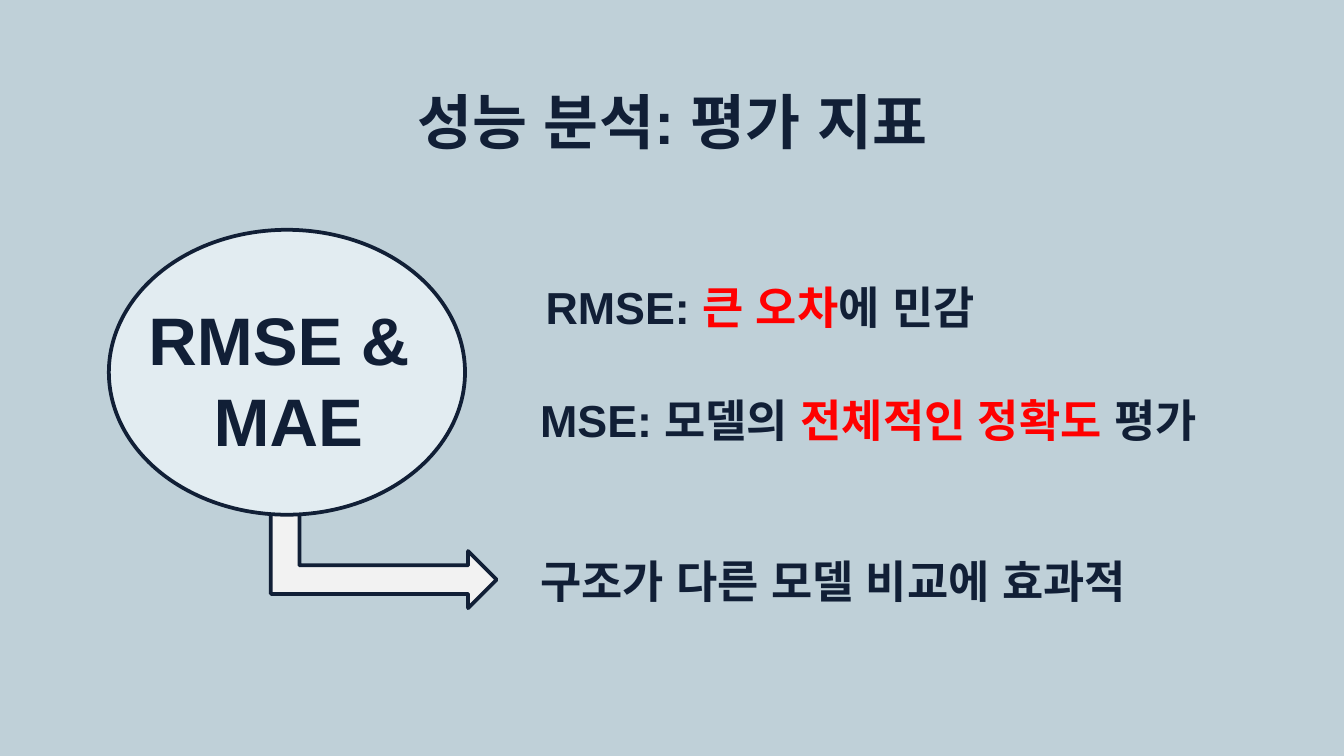
import lxml.etree
import pptx
import pptx.dml.color
import pptx.enum.shapes
import pptx.enum.text
import pptx.oxml.ns
import pptx.util

Inches = pptx.util.Inches
Align = pptx.enum.text.PP_ALIGN
Shape = pptx.enum.shapes.MSO_SHAPE

NAVY = "111F36"
RED = "FF0000"
FONT = "Arial"


def color(value):
    return pptx.dml.color.RGBColor.from_string(value)


def add_span(para, text, size=24, fill=NAVY):
    span = para.add_run()
    span.text = text
    span.font.name = FONT
    span.font.size = pptx.util.Pt(size)
    span.font.bold = True
    span.font.color.rgb = color(fill)
    properties = span._r.get_or_add_rPr()
    for tag in ("a:ea", "a:cs"):
        lxml.etree.SubElement(properties, pptx.oxml.ns.qn(tag), typeface=FONT)


def add_text(page, lines, left, top, width, size=24, align=Align.LEFT):
    box = page.shapes.add_textbox(Inches(left), Inches(top), Inches(width), Inches(0.63))
    frame = box.text_frame
    frame.word_wrap = True
    frame.vertical_anchor = pptx.enum.text.MSO_ANCHOR.TOP
    frame.margin_left = frame.margin_right = Inches(0.1)
    frame.margin_top = frame.margin_bottom = Inches(0.1)
    for index, line in enumerate(lines):
        para = frame.add_paragraph() if index else frame.paragraphs[0]
        para.alignment = align
        for text, fill in line:
            add_span(para, text, size=size, fill=fill)


def add_outlined(page, kind, left, top, width, height, fill, rotation=0):
    shape = page.shapes.add_shape(
        kind, Inches(left), Inches(top), Inches(width), Inches(height)
    )
    shape.rotation = rotation
    shape.shadow.inherit = False
    shape.fill.solid()
    shape.fill.fore_color.rgb = color(fill)
    shape.line.color.rgb = color(NAVY)
    shape.line.width = pptx.util.Pt(2)


def main():
    deck = pptx.Presentation()
    deck.slide_width = Inches(10)
    deck.slide_height = deck.slide_width * 9 // 16
    page = deck.slides.add_slide(deck.slide_layouts[6])
    page.background.fill.solid()
    page.background.fill.fore_color.rgb = color("BFD0D8")

    add_text(page, [[("성능 분석: 평가 지표", NAVY)]], 0.79, 0.53, 8.43,
             size=32, align=Align.CENTER)

    add_outlined(page, Shape.BENT_UP_ARROW, 2.43, 3.26, 0.85, 1.68, "F2F2F2", rotation=90)
    add_outlined(page, Shape.OVAL, 0.81, 1.71, 2.65, 2.12, "E2ECF1")

    rmse = [("RMSE: ", NAVY), ("큰 오차", RED), ("에 민감", NAVY)]
    mse = [("MSE: 모델의 ", NAVY), ("전체적인 정확도 ", RED), ("평가", NAVY)]
    add_text(page, [rmse], 3.56, 1.98, 4.19, align=Align.CENTER)
    add_text(page, [mse], 3.92, 2.82, 5.59)
    add_text(page, [[("구조가 다른 모델 비교에 효과적", NAVY)]], 3.92, 4.02, 5.32)
    add_text(page, [[("RMSE & ", NAVY)], [("MAE", NAVY)]], 0, 2.12, 4.29,
             size=36, align=Align.CENTER)

    deck.save("out.pptx")


if __name__ == "__main__":
    main()
